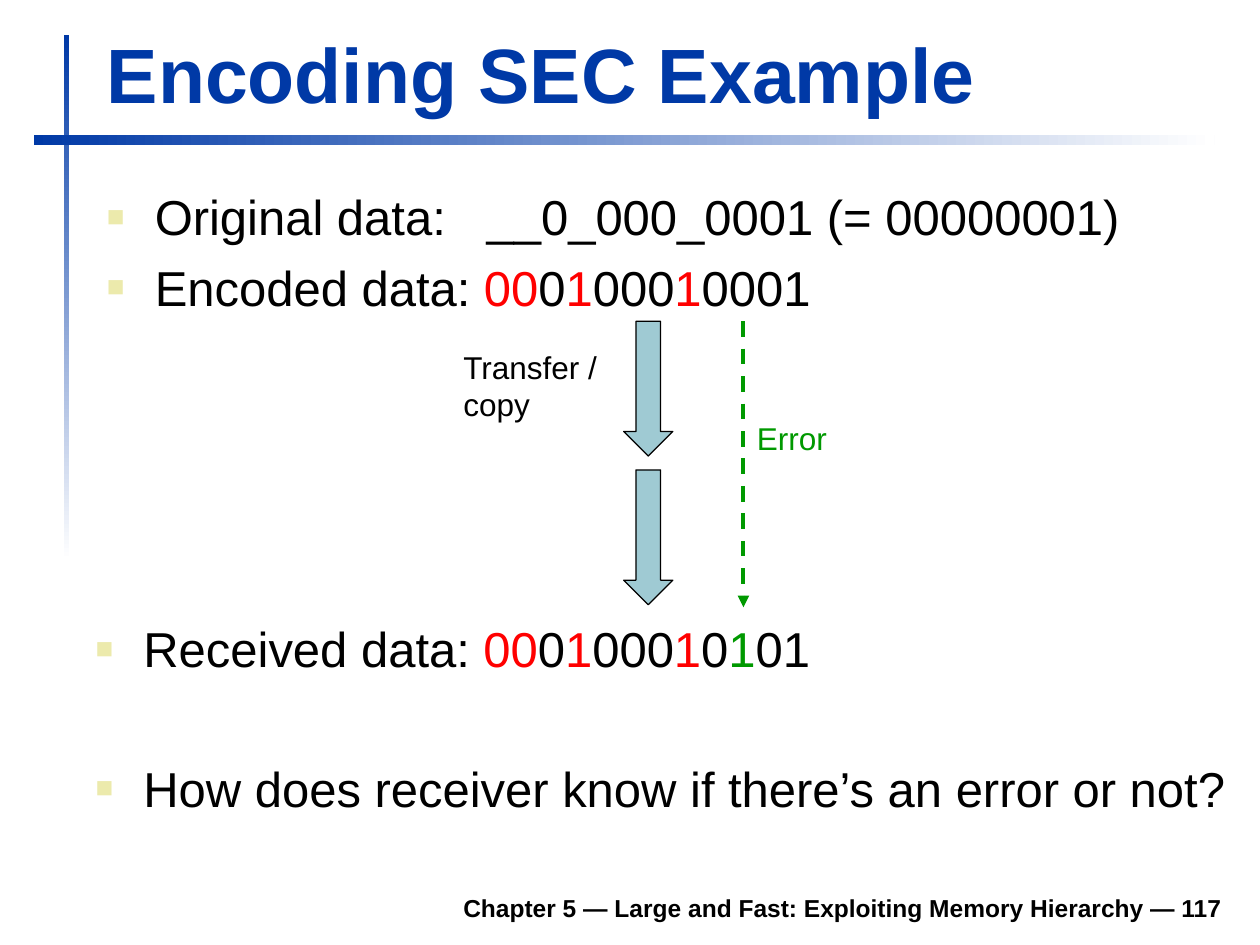
import pptx
import pptx.dml.color
import pptx.enum.dml
import pptx.enum.shapes
import pptx.enum.text
import pptx.oxml
import pptx.oxml.ns
import pptx.util
from lxml import etree

Inches = pptx.util.Inches
Pt = pptx.util.Pt
Anchor = pptx.enum.text.MSO_ANCHOR
Align = pptx.enum.text.PP_ALIGN
Shape = pptx.enum.shapes.MSO_SHAPE

BLUE, BLACK, RED, GREEN = "0039A6", "000000", "FF0000", "009900"
WHITE, TEAL, CREAM = "FFFFFF", "9FCAD3", "ECEAAC"
CODE_START = [("00", RED), ("0", BLACK), ("1", RED), ("000", BLACK), ("1", RED)]
SPACE_WIDTH = 7.78


def color(value):
    return pptx.dml.color.RGBColor.from_string(value)


def add_element(parent, tag, **attributes):
    element = etree.SubElement(parent, pptx.oxml.ns.qn(tag))
    for name, value in attributes.items():
        element.set(name, value)
    return element


def set_all(target, formats):
    for name, value in formats.items():
        setattr(target, name, value)


def add_run(paragraph, text, ink, size, bold=False):
    run = paragraph.add_run()
    run.text = text
    set_all(run.font, {"name": "Arial", "size": Pt(size), "bold": bold})
    run.font.color.rgb = color(ink)
    return run


def add_box(slide, box, **formats):
    frame = slide.shapes.add_textbox(*map(Inches, box)).text_frame
    set_all(frame, {"word_wrap": True, **formats})
    return frame


def add_label(slide, box, text, ink, size, bold=False, align=Align.LEFT, anchor=Anchor.TOP):
    frame = add_box(slide, box, vertical_anchor=anchor)
    paragraph = frame.paragraphs[0]
    paragraph.alignment = align
    add_run(paragraph, text, ink, size, bold)


def add_rules(slide, box):
    left, top, width, height = box
    bars = [
        ((left + 0.24, top, 0.04, height), 270),
        ((left, top + 0.79, width, 0.08), 0),
    ]
    for bar, angle in bars:
        shape = slide.shapes.add_shape(Shape.RECTANGLE, *map(Inches, bar))
        shape.shadow.inherit = False
        shape.line.fill.background()
        shape.fill.gradient()
        shape.fill.gradient_angle = angle
        for stop, shade in zip(shape.fill.gradient_stops, (BLUE, WHITE)):
            stop.color.rgb = color(shade)


def add_bullets(slide, box, items, gap):
    frame = add_box(slide, box, margin_top=Inches(0.09))
    for index, runs in enumerate(items):
        paragraph = frame.add_paragraph() if index else frame.paragraphs[0]
        properties = paragraph._p.get_or_add_pPr()
        properties.set("marL", str(Inches(0.38)))
        properties.set("indent", str(-Inches(0.38)))
        bullet_color = add_element(properties, "a:buClr")
        add_element(bullet_color, "a:srgbClr", val=CREAM)
        add_element(properties, "a:buSzPct", val="60000")
        add_element(properties, "a:buFont", typeface="Arial")
        add_element(properties, "a:buChar", char="■")
        paragraph.space_before = Pt(gap if index else 0)
        for text, ink in runs:
            run = add_run(paragraph, text, ink, 28)
            if text == " ":
                run.font._element.set("spc", str(round(200 * SPACE_WIDTH)))


def add_transfer(slide, box):
    left, top, width, height = box
    arrow_height = 1.07
    for offset in (0, 1.18):
        arrow = slide.shapes.add_shape(
            Shape.DOWN_ARROW,
            *map(Inches, (left + 1.37, top + offset, 0.39, arrow_height)),
        )
        arrow.shadow.inherit = False
        arrow.fill.solid()
        arrow.fill.fore_color.rgb = color(TEAL)
        arrow.line.color.rgb = color(BLACK)
        arrow.line.width = Pt(0.75)
    error_x = left + 2.32
    error_line = slide.shapes.add_connector(
        pptx.enum.shapes.MSO_CONNECTOR.STRAIGHT,
        *map(Inches, (error_x, top, error_x, top + height)),
    )
    error_line.line.color.rgb = color(GREEN)
    set_all(error_line.line, {
        "width": Pt(2.25),
        "dash_style": pptx.enum.dml.MSO_LINE.DASH,
    })
    add_element(error_line.line._get_or_add_ln(), "a:tailEnd", type="triangle")
    add_element(error_line._element.spPr, "a:effectLst")
    add_label(slide, (error_x + 0.01, top + 0.73, 0.87, 0.4), "Error", GREEN, 18)
    add_label(slide, (left, top + 0.16, 1.3, 0.71), "Transfer / copy", BLACK, 18)


def main():
    presentation = pptx.Presentation()
    set_all(presentation, {"slide_width": Inches(10), "slide_height": Inches(7.5)})
    slide = presentation.slides.add_slide(presentation.slide_layouts[6])
    add_rules(slide, (0.27, 0.28, 9.37, 4.17))
    add_label(slide, (0.75, 0.15, 9.03, 0.84), "Encoding SEC Example",
              BLUE, 44, bold=True, anchor=Anchor.BOTTOM)
    add_bullets(slide, (0.75, 1.39, 9.05, 1.26), [
        [("Original data:", BLACK), (" ", BLACK), ("__0_000_0001 (= 00000001)", BLACK)],
        [("Encoded data: ", BLACK), *CODE_START, ("0001", BLACK)],
    ], gap=6.7)
    add_transfer(slide, (3.58, 2.55, 3.2, 2.27))
    add_bullets(slide, (0.66, 4.82, 9.22, 1.61), [
        [("Received data: ", BLACK), *CODE_START, ("0", BLACK), ("1", GREEN), ("01", BLACK)],
        [("How does receiver know if there’s an error or not?", BLACK)],
    ], gap=46)
    add_label(slide, (1.85, 6.98, 7.95, 0.39),
              "Chapter 5 — Large and Fast: Exploiting Memory Hierarchy — 117",
              BLACK, 14, bold=True, align=Align.RIGHT, anchor=Anchor.BOTTOM)
    presentation.save("out.pptx")


if __name__ == "__main__":
    main()
